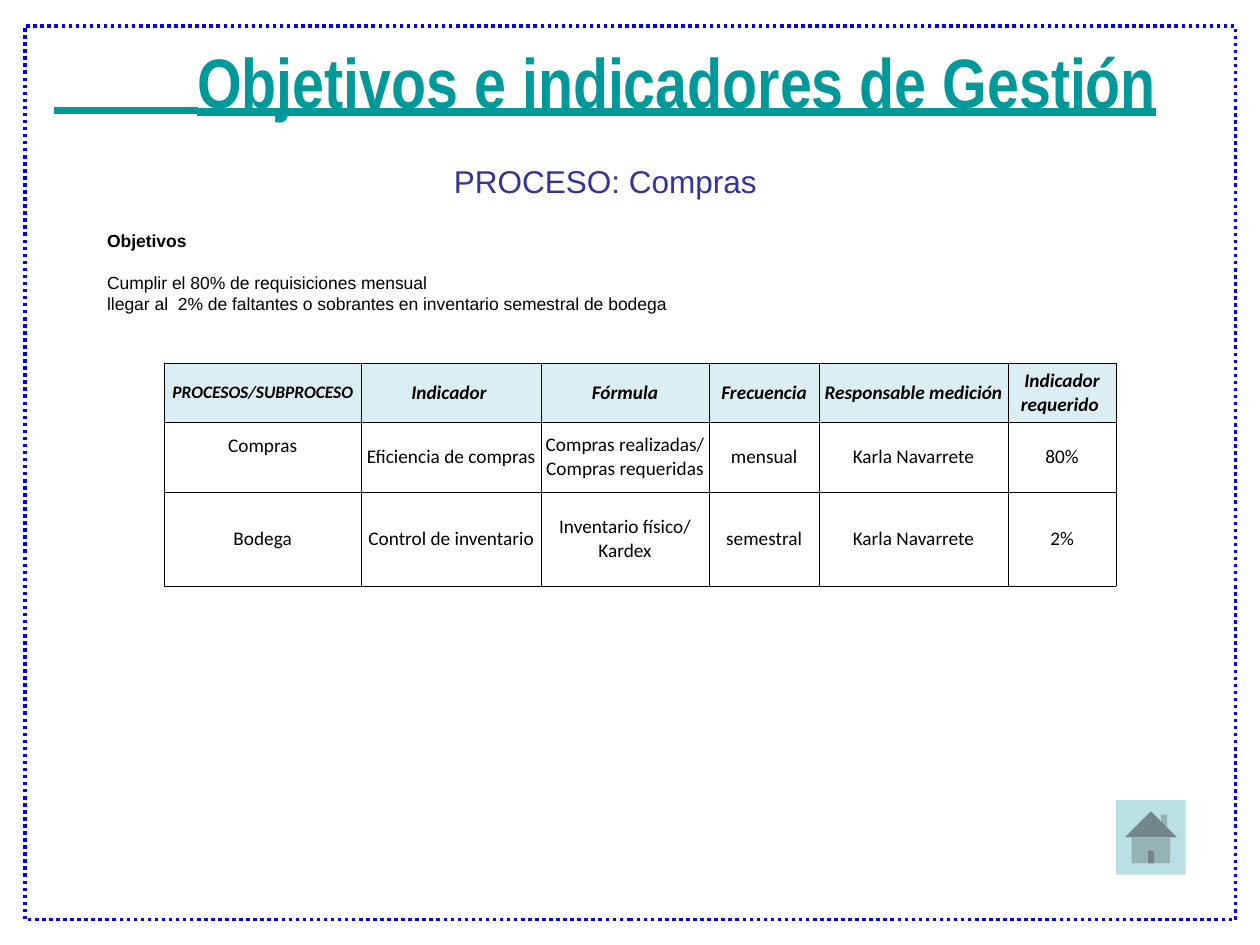
from lxml import etree
from pptx import Presentation
from pptx import util as u
from pptx.dml.color import RGBColor
from pptx.enum import dml, shapes, text
from pptx.oxml.ns import qn

BLACK = RGBColor(0, 0, 0)
BLUE = RGBColor(0, 0, 0xFF)
TEAL = RGBColor(0, 0x99, 0x99)
INDIGO = RGBColor(0x33, 0x33, 0x99)
PALE_BLUE = RGBColor(0xDB, 0xEE, 0xF3)
AQUA = RGBColor(0xBB, 0xE0, 0xE3)

HEADERS = ["PROCESOS/SUBPROCESO", "Indicador ", "Fórmula", "Frecuencia",
           "Responsable medición", "Indicador requerido "]
INDICATORS = [
    ["Compras", "Eficiencia de compras", "Compras realizadas/ Compras requeridas",
     "mensual", "Karla Navarrete", "80%"],
    ["Bodega", "Control de inventario", "Inventario físico/\nKardex",
     "semestral", "Karla Navarrete", "2%"],
]
COLUMN_WIDTHS = [3.99, 3.61, 3.4, 2.21, 3.81, 2.18]
ROW_HEIGHTS = [1.07, 1.42, 1.88]
TITLE_INDENT = 2.88


def add_run(paragraph, words, size, font="Arial", color=BLACK, bold=False,
            italic=False, underline=False):
    run = paragraph.add_run()
    run.text = words
    run.font.size = u.Pt(size)
    run.font.name = font
    run.font.color.rgb = color
    run.font.bold = bold
    run.font.italic = italic
    run.font.underline = underline


def add_text_frame(slide, left, top, width, height):
    frame = slide.shapes.add_textbox(
        u.Cm(left), u.Cm(top), u.Cm(width), u.Cm(height)).text_frame
    frame.word_wrap = True
    return frame


def add_frame(slide):
    frame = slide.shapes.add_shape(
        shapes.MSO_SHAPE.RECTANGLE, u.Cm(0.5), u.Cm(0.53), u.Cm(24.41), u.Cm(18.01))
    frame.shadow.inherit = False
    frame.fill.background()
    frame.line.color.rgb = BLUE
    frame.line.width = u.Pt(2)
    frame.line.dash_style = dml.MSO_LINE.ROUND_DOT


def add_home_button(slide):
    home = slide.shapes.add_shape(
        shapes.MSO_SHAPE.ACTION_BUTTON_HOME, u.Cm(22.5), u.Cm(16.13), u.Cm(1.4), u.Cm(1.5))
    home.shadow.inherit = False
    home.fill.solid()
    home.fill.fore_color.rgb = AQUA
    home.line.fill.background()


def add_heading(slide):
    frame = add_text_frame(slide, 0, 2.51, 24.41, 1.65)
    frame.vertical_anchor = text.MSO_ANCHOR.BOTTOM
    title = frame.paragraphs[0]
    title.alignment = text.PP_ALIGN.CENTER
    title._p.get_or_add_pPr().set("marL", str(u.Cm(TITLE_INDENT)))
    add_run(title, "Objetivos e indicadores de Gestión", 40, "Arial Narrow", TEAL,
            bold=True, underline=True)
    process = frame.add_paragraph()
    process.alignment = text.PP_ALIGN.CENTER
    process.space_before = u.Pt(23)
    add_run(process, "PROCESO: Compras", 18, color=INDIGO)


def add_title_rule(slide):
    """Carry the title's underline on to the left."""
    y = u.Cm(2.23)
    rule = slide.shapes.add_connector(
        shapes.MSO_CONNECTOR.STRAIGHT, u.Cm(1.09), y, u.Cm(1.11 + TITLE_INDENT), y)
    rule.line.color.rgb = TEAL
    rule.line.width = u.Pt(4)
    etree.SubElement(rule._element.spPr, qn("a:effectLst"))


def add_objectives(slide):
    frame = add_text_frame(slide, 1.91, 4.52, 20.19, 2.39)
    add_run(frame.paragraphs[0], "Objetivos", 10, bold=True)
    goals = ["Cumplir el 80% de requisiciones mensual",
             "llegar al  2% de faltantes o sobrantes en inventario semestral de bodega"]
    for index, goal in enumerate(goals):
        paragraph = frame.add_paragraph()
        if index == 0:
            paragraph.space_before = u.Pt(11.5)
        add_run(paragraph, goal, 10)


def set_borders(cell):
    properties = cell._tc.get_or_add_tcPr()
    for index, side in enumerate(("lnL", "lnR", "lnT", "lnB")):
        border = etree.Element(qn(f"a:{side}"), w=str(u.Pt(0.23)))
        fill = etree.SubElement(border, qn("a:solidFill"))
        etree.SubElement(fill, qn("a:srgbClr"), val=str(BLACK))
        properties.insert(index, border)


def fill_cell(cell, words, size, is_header):
    cell.vertical_anchor = text.MSO_ANCHOR.MIDDLE
    cell.margin_left = cell.margin_right = u.Cm(0.03)
    if is_header:
        cell.fill.solid()
        cell.fill.fore_color.rgb = PALE_BLUE
    else:
        cell.fill.background()
    set_borders(cell)
    frame = cell.text_frame
    for index, line in enumerate(words.split("\n")):
        paragraph = frame.add_paragraph() if index else frame.paragraphs[0]
        paragraph.alignment = text.PP_ALIGN.CENTER
        add_run(paragraph, line, size, "Calibri", bold=is_header, italic=is_header)


def add_indicator_table(slide):
    rows = [HEADERS] + INDICATORS
    table = slide.shapes.add_table(
        len(rows), len(HEADERS), u.Cm(3.3), u.Cm(7.32),
        u.Cm(sum(COLUMN_WIDTHS)), u.Cm(sum(ROW_HEIGHTS))).table
    table.first_row = table.horz_banding = False
    for column, width in zip(table.columns, COLUMN_WIDTHS):
        column.width = u.Cm(width)
    for r, (row, height) in enumerate(zip(rows, ROW_HEIGHTS)):
        table.rows[r].height = u.Cm(height)
        for c, words in enumerate(row):
            size = 10 if r == c == 0 else 11
            fill_cell(table.cell(r, c), words, size, is_header=r == 0)
    table.cell(1, 0).margin_bottom = u.Cm(0.58)


def main():
    deck = Presentation()
    deck.slide_width, deck.slide_height = u.Cm(25.4), u.Cm(19.05)
    slide = deck.slides.add_slide(deck.slide_layouts[6])
    add_frame(slide)
    add_home_button(slide)
    add_heading(slide)
    add_title_rule(slide)
    add_indicator_table(slide)
    add_objectives(slide)
    deck.save("out.pptx")


if __name__ == "__main__":
    main()
